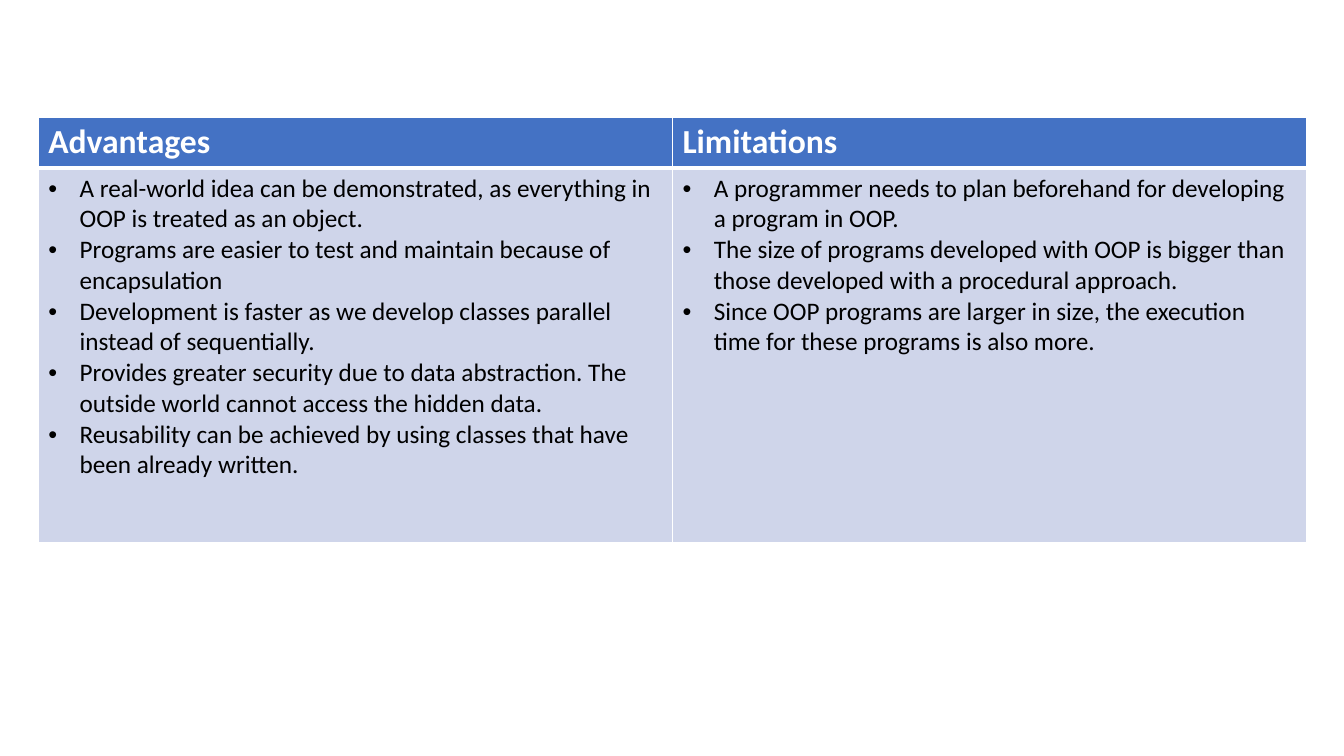
from pptx import Presentation, util as u
from pptx.dml import color
from pptx.oxml import parse_xml
from pptx.oxml import ns

COLORS = {"header": "4472C4", "body": "CFD5EA", "white": "FFFFFF", "black": "000000"}
COMPARISON = {
    "Advantages": [
        "A real-world idea can be demonstrated, as everything in OOP is treated as an object.",
        "Programs are easier to test and maintain because of encapsulation",
        "Development is faster as we develop classes parallel instead of sequentially.",
        "Provides greater security due to data abstraction. The outside world cannot access the hidden data.",
        "Reusability can be achieved by using classes that have been already written.",
    ],
    "Limitations": [
        "A programmer needs to plan beforehand for developing a program in OOP.",
        "The size of programs developed with OOP is bigger than those developed with a procedural approach.",
        "Since OOP programs are larger in size, the execution time for these programs is also more.",
    ],
}
HEADER_FONT = {"name": "Calibri", "size": u.Pt(24), "bold": True}
BODY_FONT = {"name": "Calibri", "size": u.Pt(18), "bold": False}


def style_cell(cell, fill, border_widths):
    properties = cell._tc.get_or_add_tcPr()
    for side, points in border_widths.items():
        properties.append(parse_xml(
            f'<a:ln{side} {ns.nsdecls("a")} w="{u.Pt(points)}"><a:solidFill>'
            f'<a:srgbClr val="{COLORS["white"]}"/></a:solidFill></a:ln{side}>'))
    cell.fill.solid()
    cell.fill.fore_color.rgb = color.RGBColor.from_string(COLORS[fill])


def write_paragraph(paragraph, words, font, ink):
    run = paragraph.add_run()
    run.text = words
    for name, value in font.items():
        setattr(run.font, name, value)
    run.font.color.rgb = color.RGBColor.from_string(COLORS[ink])


deck = Presentation()
deck.slide_width, deck.slide_height = u.Inches(13.33), u.Inches(7.5)
slide = deck.slides.add_slide(deck.slide_layouts[6])

comparison = slide.shapes.add_table(
    2, len(COMPARISON), u.Inches(0.38), u.Inches(1.16), u.Inches(12.58), u.Inches(4.22)).table
comparison.rows[0].height = u.Inches(0.5)
comparison.rows[1].height = u.Inches(3.72)

for column, (heading, points) in enumerate(COMPARISON.items()):
    comparison.columns[column].width = u.Inches(6.29)
    header, body = comparison.cell(0, column), comparison.cell(1, column)
    style_cell(header, "header", {"L": 1, "R": 1, "T": 1, "B": 3})
    style_cell(body, "body", {"L": 1, "R": 1, "T": 3, "B": 1})
    write_paragraph(header.text_frame.paragraphs[0], heading, HEADER_FONT, "white")

    for index, point in enumerate(points):
        paragraph = body.text_frame.add_paragraph() if index else body.text_frame.paragraphs[0]
        bullet = paragraph._p.get_or_add_pPr()
        bullet.set("marL", str(u.Inches(0.31)))
        bullet.set("indent", str(-u.Inches(0.31)))
        bullet.append(parse_xml(f'<a:buFont {ns.nsdecls("a")} typeface="Arial"/>'))
        bullet.append(parse_xml(f'<a:buChar {ns.nsdecls("a")} char="•"/>'))
        write_paragraph(paragraph, point, BODY_FONT, "black")

deck.save("out.pptx")
